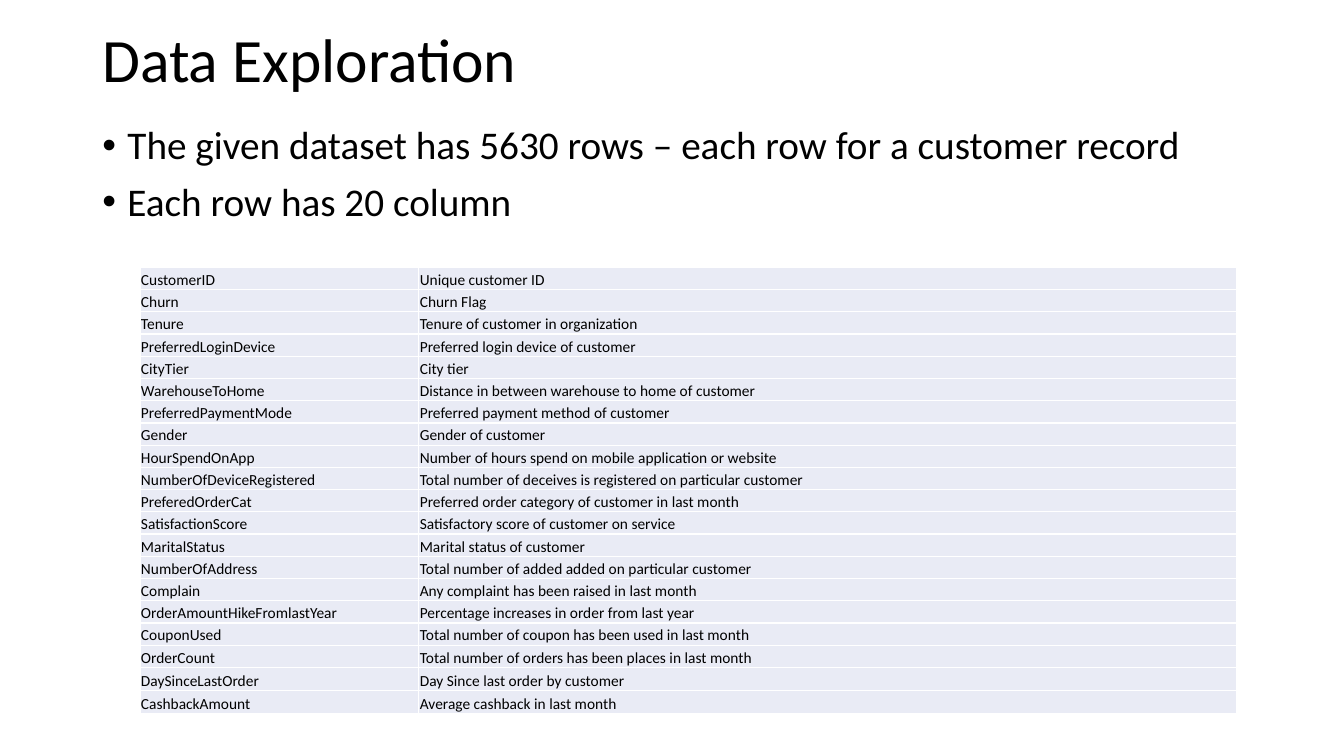
from lxml import etree
from pptx import Presentation
from pptx import util as u
from pptx.dml.color import RGBColor
from pptx.enum import text
from pptx.oxml import parse_xml
from pptx.oxml.ns import nsdecls, qn

Pt = u.Pt
BLACK, WHITE, ROW_FILL = "000000", "FFFFFF", "E9EBF5"
BULLETS = [
    "The given dataset has 5630 rows – each row for a customer record",
    "Each row has 20 column",
]
COLUMNS = [
    ("CustomerID", "Unique customer ID"),
    ("Churn", "Churn Flag"),
    ("Tenure", "Tenure of customer in organization"),
    ("PreferredLoginDevice", "Preferred login device of customer"),
    ("CityTier", "City tier"),
    ("WarehouseToHome", "Distance in between warehouse to home of customer"),
    ("PreferredPaymentMode", "Preferred payment method of customer"),
    ("Gender", "Gender of customer"),
    ("HourSpendOnApp", "Number of hours spend on mobile application or website"),
    ("NumberOfDeviceRegistered", "Total number of deceives is registered on particular customer"),
    ("PreferedOrderCat", "Preferred order category of customer in last month"),
    ("SatisfactionScore", "Satisfactory score of customer on service"),
    ("MaritalStatus", "Marital status of customer"),
    ("NumberOfAddress", "Total number of added added on particular customer"),
    ("Complain", "Any complaint has been raised in last month"),
    ("OrderAmountHikeFromlastYear", "Percentage increases in order from last year"),
    ("CouponUsed", "Total number of coupon has been used in last month"),
    ("OrderCount", "Total number of orders has been places in last month"),
    ("DaySinceLastOrder", "Day Since last order by customer"),
    ("CashbackAmount", "Average cashback in last month"),
]


def rgb(value):
    return RGBColor.from_string(value)


def set_font(p, size):
    p.font.name = "Calibri"
    p.font.size = Pt(size)
    p.font.color.rgb = rgb(BLACK)


def add_text(s, box, lines, size, anchor):
    tf = s.shapes.add_textbox(*map(Pt, box)).text_frame
    tf.word_wrap = True
    tf.vertical_anchor = anchor
    tf.text = "\n".join(lines)
    for p in tf.paragraphs:
        set_font(p, size)
        p.line_spacing = 0.9
    return tf


def add_title(s, box):
    add_text(s, box, ["Data Exploration"], 44, text.MSO_ANCHOR.MIDDLE)


def add_bullets(s, box):
    tf = add_text(s, box, BULLETS, 28, text.MSO_ANCHOR.TOP)
    for p in tf.paragraphs:
        p.space_before = Pt(10)
        pPr = p._p.get_or_add_pPr()
        pPr.set("marL", str(Pt(18)))
        pPr.set("indent", str(-Pt(18)))
        font = parse_xml(f'<a:buFont {nsdecls("a")} typeface="Arial"/>')
        char = parse_xml(f'<a:buChar {nsdecls("a")} char="•"/>')
        pPr.insert_element_before(font, "a:tabLst", "a:defRPr", "a:extLst")
        pPr.insert_element_before(char, "a:tabLst", "a:defRPr", "a:extLst")


def set_borders(cell):
    tcPr = cell._tc.get_or_add_tcPr()
    for i, side in enumerate(("lnL", "lnR", "lnT", "lnB")):
        ln = etree.Element(qn(f"a:{side}"), w=str(Pt(1)))
        fill = etree.SubElement(ln, qn("a:solidFill"))
        etree.SubElement(fill, qn("a:srgbClr"), val=WHITE)
        tcPr.insert(i, ln)


def add_column_table(s, box):
    x, y, w, h = box
    frame = s.shapes.add_table(len(COLUMNS), 2, Pt(x), Pt(y), Pt(w), Pt(h))
    table = frame.table
    table.first_row = table.horz_banding = False
    name_width = 199.2
    table.columns[0].width = Pt(name_width)
    table.columns[1].width = Pt(w - name_width)
    tall = 16.4
    regular = (h - 2 * tall) / (len(COLUMNS) - 2)
    for i, entry in enumerate(COLUMNS):
        table.rows[i].height = Pt(regular if i < len(COLUMNS) - 2 else tall)
        for j, value in enumerate(entry):
            cell = table.cell(i, j)
            cell.text = value
            set_font(cell.text_frame.paragraphs[0], 11)
            cell.vertical_anchor = text.MSO_ANCHOR.BOTTOM
            cell.margin_left = cell.margin_right = cell.margin_top = Pt(0.7)
            cell.margin_bottom = 0
            cell.fill.solid()
            cell.fill.fore_color.rgb = rgb(ROW_FILL)
            set_borders(cell)


def main():
    prs = Presentation()
    prs.slide_width, prs.slide_height = Pt(960), Pt(540)
    s = prs.slides.add_slide(prs.slide_layouts[6])
    add_title(s, (66, -7.2, 828, 104.4))
    add_bullets(s, (66, 86.4, 828, 342.6))
    add_column_table(s, (100, 191, 783.6, 319))
    prs.save("out.pptx")


if __name__ == "__main__":
    main()
